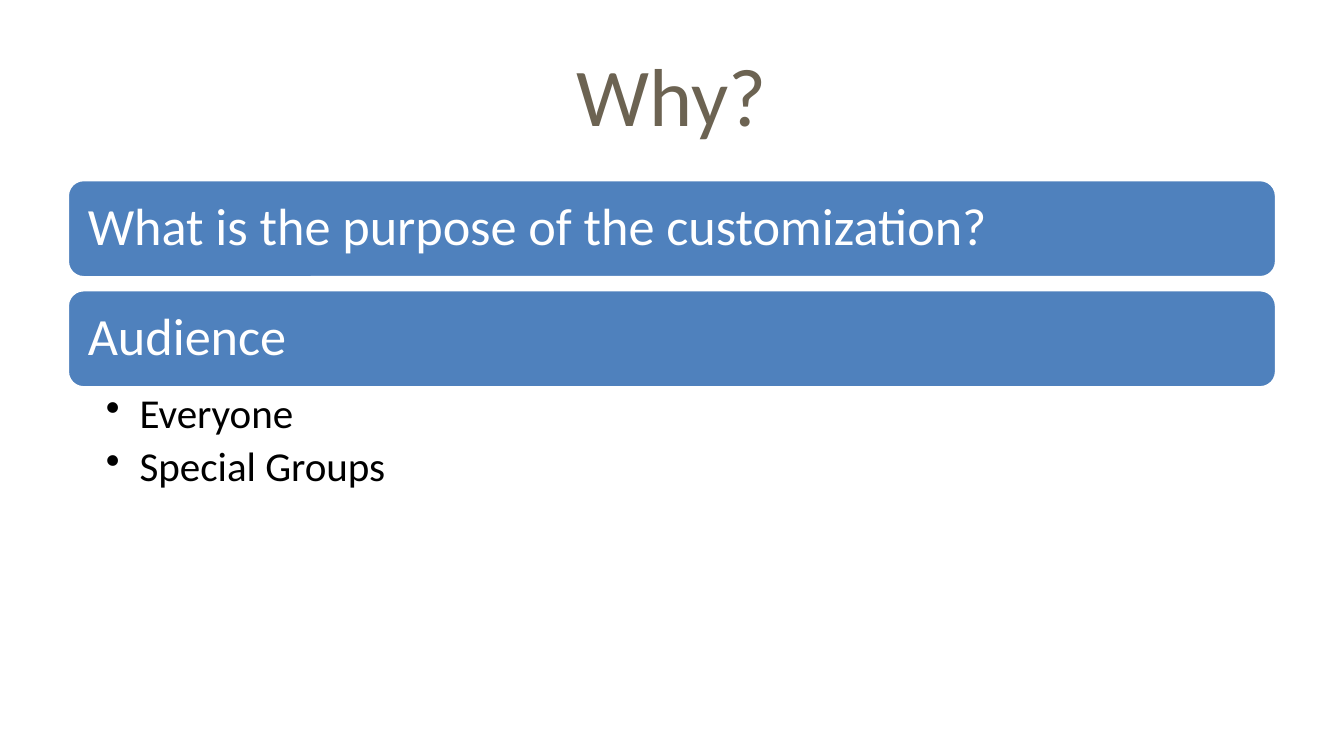
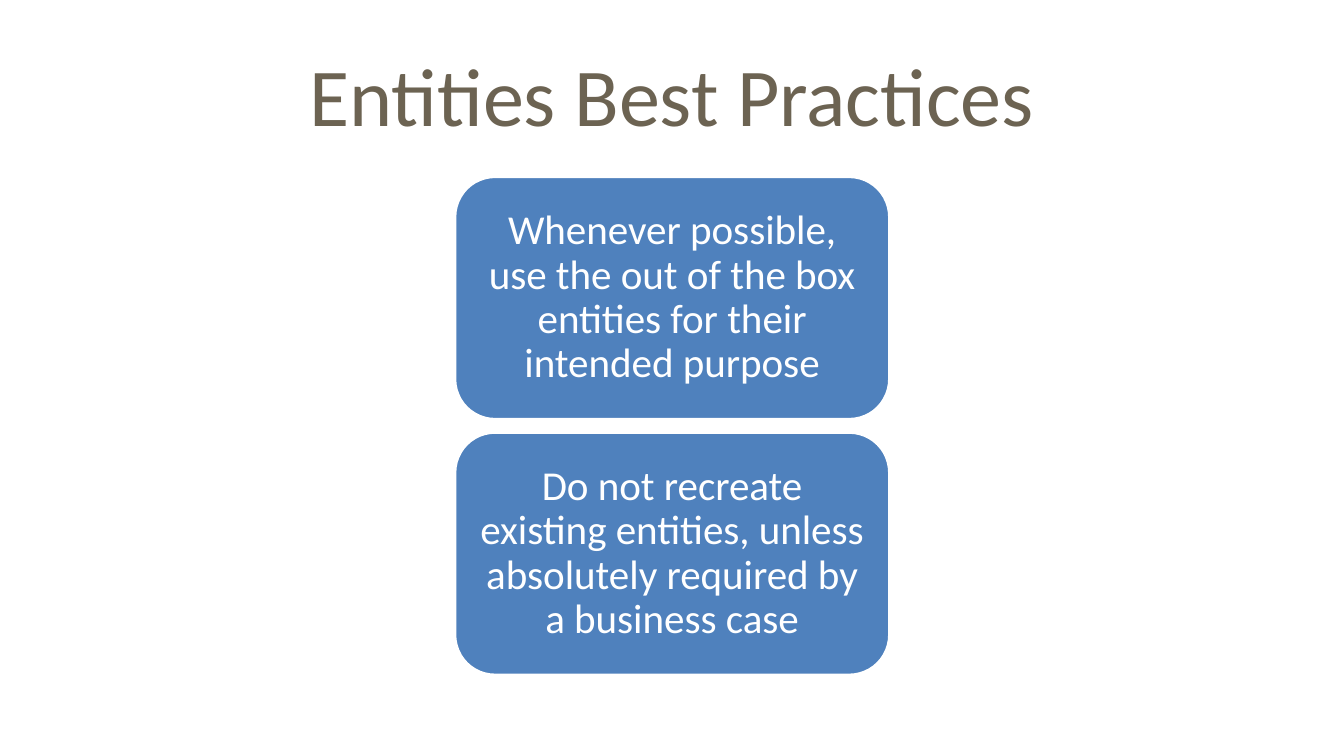
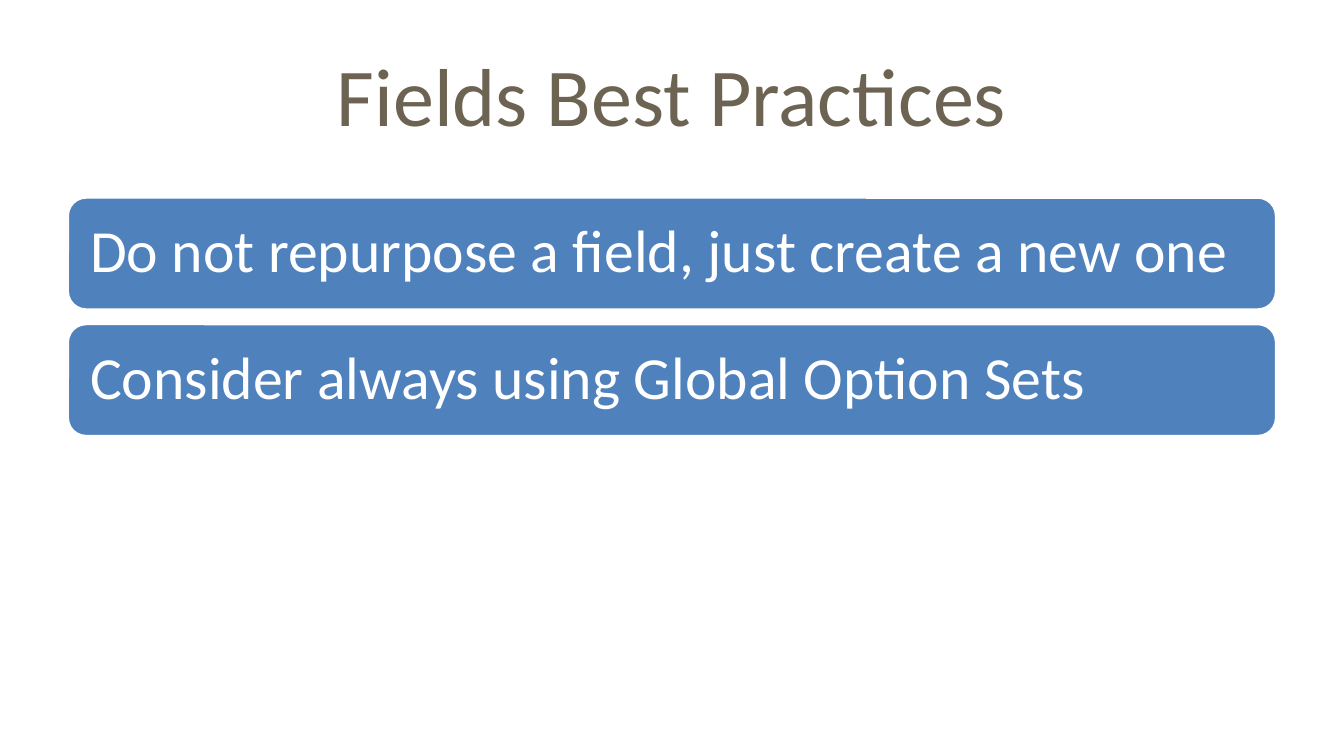
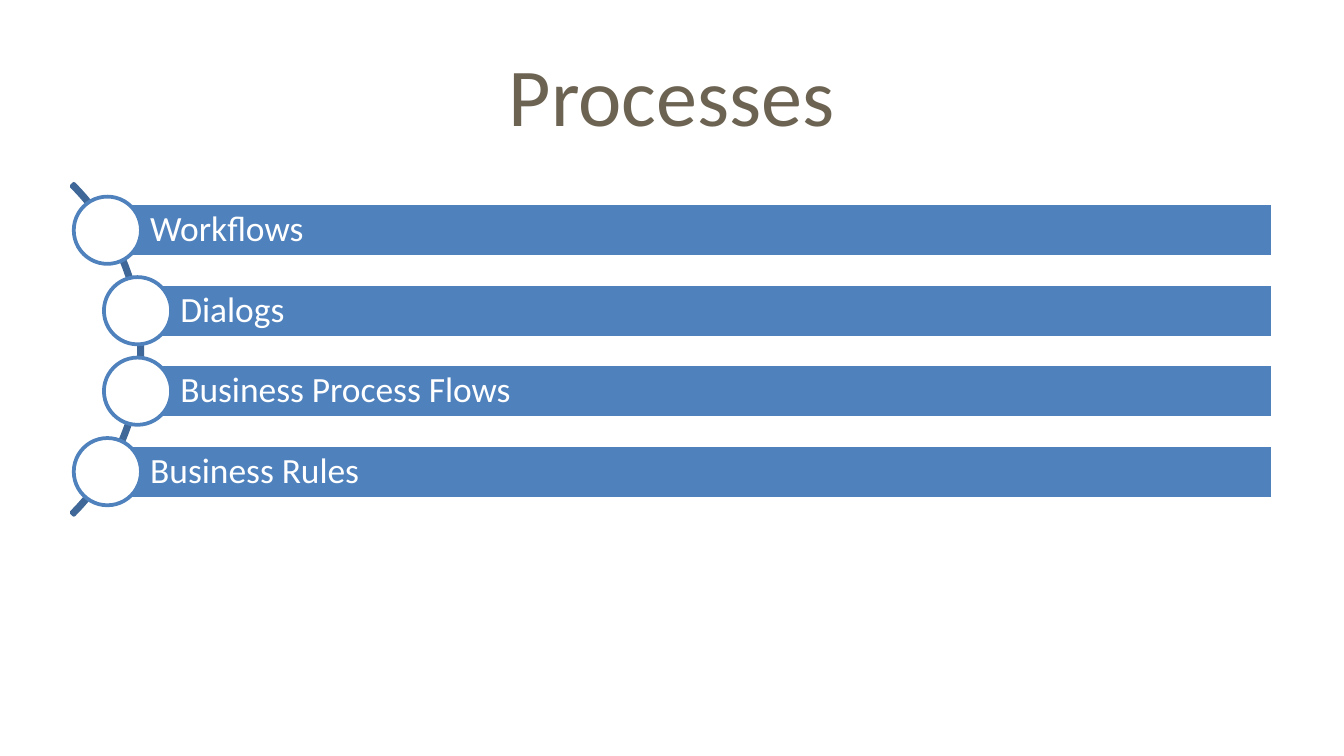
from lxml import etree
from pptx import Presentation
from pptx.dml.color import RGBColor
from pptx.enum.shapes import MSO_SHAPE as Shape
from pptx.enum.text import MSO_ANCHOR as Anchor, PP_ALIGN as Align
from pptx.oxml.ns import qn
from pptx.util import Cm, Pt

FONT = "Calibri"
TITLE_COLOR, BLUE, ARC_BLUE = "6C6352", "4F81BD", "3F6797"
WHITE, BLACK = "FFFFFF", "000000"
MARGIN, CONTENT_WIDTH = 1.27, 22.86
rgb = RGBColor.from_string

prs = Presentation()
prs.slide_width, prs.slide_height = Cm(25.4), Cm(14.28)


def add_titled_slide(heading):
    slide = prs.slides.add_slide(prs.slide_layouts[5])
    title = slide.shapes.title
    title.left, title.top = Cm(MARGIN), Cm(0.58)
    title.width, title.height = Cm(CONTENT_WIDTH), Cm(2.38)
    frame = title.text_frame
    frame.text = heading
    frame.vertical_anchor = Anchor.MIDDLE
    paragraph = frame.paragraphs[0]
    paragraph.alignment = Align.CENTER
    font = paragraph.runs[0].font
    font.name, font.size, font.color.rgb = FONT, Pt(44), rgb(TITLE_COLOR)
    return slide


def add_panel(slide, kind, box, fill=BLUE, line=WHITE, text="", size=20,
              insets=(0, 0, 0, 0), align=Align.LEFT):
    """Add a flat shape; box and insets are in cm, insets run left, top, right, bottom."""
    panel = slide.shapes.add_shape(kind, *map(Cm, box))
    panel.shadow.inherit = False
    if fill:
        panel.fill.solid()
        panel.fill.fore_color.rgb = rgb(fill)
    else:
        panel.fill.background()
    panel.line.color.rgb = rgb(line)
    panel.line.width = Pt(2)
    if text:
        frame = panel.text_frame
        frame.text = text
        frame.word_wrap = True
        frame.vertical_anchor = Anchor.MIDDLE
        (frame.margin_left, frame.margin_top,
         frame.margin_right, frame.margin_bottom) = map(Cm, insets)
        paragraph = frame.paragraphs[0]
        paragraph.alignment = align
        paragraph.line_spacing = 0.9
        font = paragraph.runs[0].font
        font.name, font.size, font.color.rgb = FONT, Pt(size), rgb(WHITE)
    return panel


# Why?
why = add_titled_slide("Why?")
for i, question in enumerate(["What is the purpose of the customization?", "Audience"]):
    add_panel(why, Shape.ROUNDED_RECTANGLE,
              (MARGIN, 3.39 + i * 2.08, CONTENT_WIDTH, 1.86),
              text=question, size=28, insets=(0.3, 0.3, 0.3, 0.3))

audience = why.shapes.add_textbox(Cm(MARGIN), Cm(7.33), Cm(CONTENT_WIDTH), Cm(2.08)).text_frame
audience.word_wrap = True
audience.margin_left, audience.margin_right = Cm(0.73), Cm(0.56)
audience.margin_top = audience.margin_bottom = Cm(0.1)
audience.text = "Everyone\nSpecial Groups"
for paragraph in audience.paragraphs:
    properties = paragraph._p.get_or_add_pPr()
    properties.set("marL", str(Cm(0.64)))
    properties.set("indent", str(Cm(-0.64)))
    etree.SubElement(properties, qn("a:buChar")).set("char", "•")
    paragraph.level = 1
    paragraph.line_spacing = 0.9
    paragraph.space_after = Pt(4.4)
    font = paragraph.runs[0].font
    font.name, font.size, font.color.rgb = FONT, Pt(22), rgb(BLACK)

# Entities
entities = add_titled_slide("Entities Best Practices")
entity_practices = [
    "Whenever possible, use the out of the box entities for their intended purpose",
    "Do not recreate existing entities, unless absolutely required by a business case",
]
for i, practice in enumerate(entity_practices):
    add_panel(entities, Shape.ROUNDED_RECTANGLE, (8.59, 3.33 + i * 4.83, 8.23, 4.6),
              text=practice, size=22, insets=(0.23, 0.12, 0.23, 0.12), align=Align.CENTER)

# Fields
fields = add_titled_slide("Fields Best Practices")
field_practices = [
    "Do not repurpose a field, just create a new one",
    "Consider always using Global Option Sets",
]
for i, practice in enumerate(field_practices):
    add_panel(fields, Shape.ROUNDED_RECTANGLE,
              (MARGIN, 3.72 + i * 2.39, CONTENT_WIDTH, 2.14),
              text=practice, size=32, insets=(0.33, 0.33, 0.33, 0.33))

# Processes
processes = add_titled_slide("Processes")
arc = add_panel(processes, Shape.BLOCK_ARC, (-6.15, 2.18, 8.84, 8.84), fill=None, line=ARC_BLUE)
for i, adjustment in enumerate([189, 27, 0.007]):
    arc.adjustments[i] = adjustment

BAR_RIGHT, BAR_HEIGHT, DOT = 24.05, 1.02, 1.27
process_bars = [
    ("Workflows", 2.03),
    ("Dialogs", 2.6),
    ("Business Process Flows", 2.6),
    ("Business Rules", 2.03),
]
for i, (process, left) in enumerate(process_bars):
    top = 3.84 + i * 1.52
    add_panel(processes, Shape.RECTANGLE, (left, top, BAR_RIGHT - left, BAR_HEIGHT),
              text=process, size=19, insets=(0.81, 0.12, 0.12, 0.12))
    add_panel(processes, Shape.OVAL,
              (left - DOT / 2, top + (BAR_HEIGHT - DOT) / 2, DOT, DOT),
              fill=WHITE, line=BLUE)

prs.save("out.pptx")
